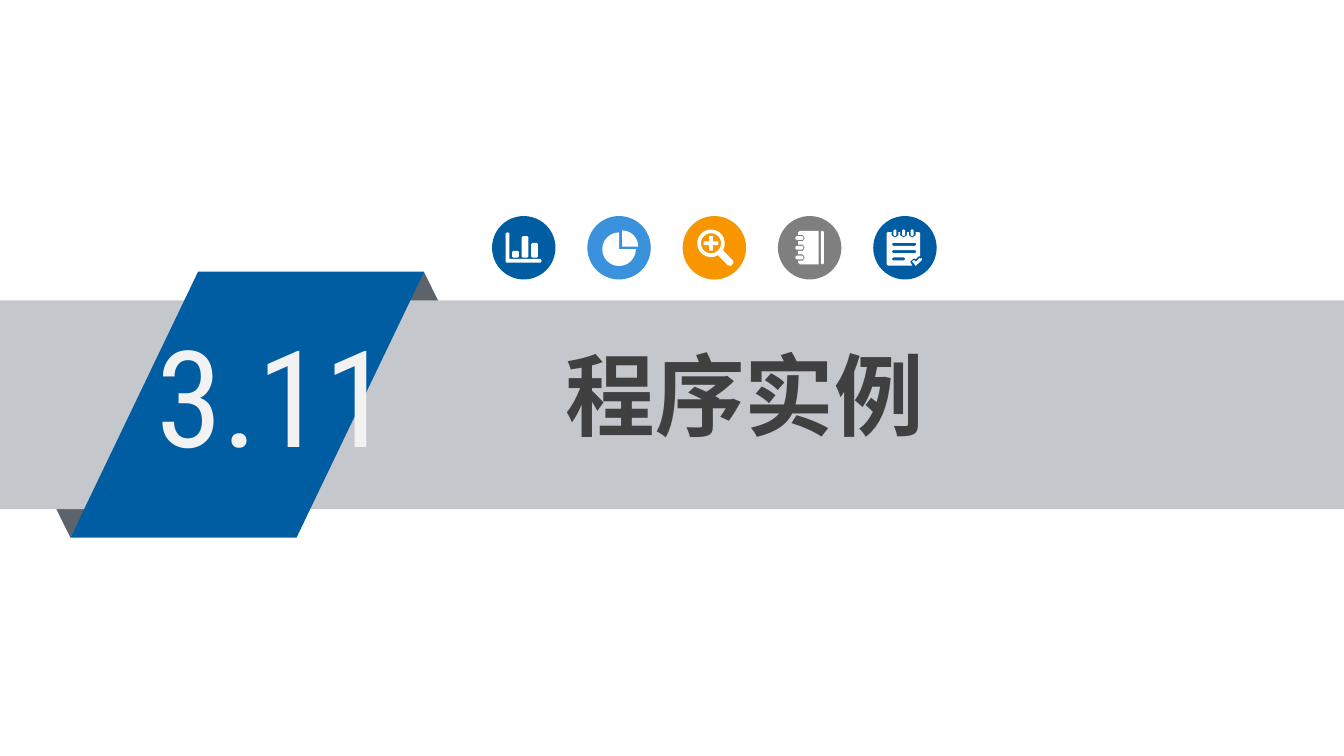
from math import cos, radians, sin

from lxml import etree
from pptx import Presentation
from pptx.dml.color import RGBColor
from pptx.enum import shapes, text
from pptx.oxml import ns
from pptx.util import Pt

WHITE = RGBColor(0xFF, 0xFF, 0xFF)
BLUE = RGBColor(0x00, 0x5D, 0xA2)
SKY = RGBColor(0x39, 0x92, 0xDB)
ORANGE = RGBColor(0xF7, 0x96, 0x00)
GREY = RGBColor(0x7F, 0x7F, 0x7F)
FOLD = RGBColor(0x5D, 0x63, 0x6A)
BAND = RGBColor(0xC4, 0xC7, 0xCB)
NUMBER = RGBColor(0xF2, 0xF2, 0xF2)
DARK = RGBColor(0x40, 0x40, 0x40)
KIND = shapes.MSO_SHAPE


def soft_box(left, top, width, height, cut=0.6):
    right, bottom = left + width, top + height
    return [(left + cut, top), (right - cut, top), (right, top + cut), (right, bottom - cut),
            (right - cut, bottom), (left + cut, bottom), (left, bottom - cut), (left, top + cut)]


def arc(x, y, radius, start, end, steps):
    angles = [radians(start + (end - start) * step / steps) for step in range(steps + 1)]
    return [(x + radius * cos(angle), y + radius * sin(angle)) for angle in angles]


deck = Presentation()
deck.slide_width, deck.slide_height = Pt(720), Pt(405)
page = deck.slides.add_slide(deck.slide_layouts[5])
title = page.shapes.title

banner = page.shapes.add_group_shape()
for kind, left, top, width, height, color in [
    (KIND.ISOSCELES_TRIANGLE, 194.5, 145.5, 65, 65.5, FOLD),
    (KIND.ISOSCELES_TRIANGLE, 5.25, 222.5, 65, 65.5, FOLD),
    (KIND.RECTANGLE, 0, 161, 720, 111.75, BAND),
    (KIND.PARALLELOGRAM, 37.75, 145.5, 189.5, 142.5, BLUE),
]:
    shape = banner.shapes.add_shape(kind, Pt(left), Pt(top), Pt(width), Pt(height))
    shape.shadow.inherit = False
    shape.fill.solid()
    shape.fill.fore_color.rgb = color
    shape.line.fill.background()
    if kind == KIND.PARALLELOGRAM:
        shape.adjustments[0] = 0.48
banner.shapes[1].element.spPr.find(ns.qn("a:xfrm")).set("flipV", "1")

number = banner.shapes.add_textbox(Pt(78.75), Pt(165), Pt(137.5), Pt(93))
title.left, title.top, title.width, title.height = Pt(297.25), Pt(179.25), Pt(296), Pt(63.5)
title.element.getparent().append(title.element)
for box, words, size, font, color, bold, side in [
    (number, "3.11", 72, "Roboto Condensed", NUMBER, False, 5),
    (title, "程序实例", 48, "Noto Sans CJK SC", DARK, True, 5.8),
]:
    frame = box.text_frame
    frame.text = words
    frame.word_wrap = True
    frame.vertical_anchor = text.MSO_ANCHOR.TOP
    frame.margin_left = frame.margin_right = Pt(side)
    frame.margin_top = frame.margin_bottom = Pt(2.9)
    para = frame.paragraphs[0]
    para.alignment = text.PP_ALIGN.LEFT
    span = para.runs[0]
    span.font.size = Pt(size)
    span.font.name = font
    span.font.bold = bold
    span.font.color.rgb = color
    etree.SubElement(span.font._element, ns.qn("a:ea"), typeface=font)

bar_chart = [
    [(7.3, 9.2), (8.3, 8.7), (9.3, 9.2), (9.3, 23), (26, 23), (26.6, 24), (26, 25), (7.8, 25), (7.3, 24.5)],
    soft_box(21, 14.4, 3.6, 7.9),
    soft_box(15.9, 10.8, 3.6, 11.5),
    soft_box(10.8, 18.7, 3.6, 3.6),
]
pie_chart = [
    [(18.6, 16.4)] + arc(18.6, 16.4, 8.7, -90, 0, 6),
    [(17, 17.8)] + arc(17, 17.8, 9, 0, 270, 18),
]
magnifier = [
    arc(15.2, 14.6, 7.4, 60, 390, 20) + [(26.9, 23.8), (27.3, 25.2), (25.8, 26.7), (24.2, 26.4)],
    arc(15.2, 14.6, 5.4, 0, 345, 23),
    [(14.2, 10.6), (16.2, 10.6), (16.2, 13.6), (19.2, 13.6), (19.2, 15.6), (16.2, 15.6),
     (16.2, 18.6), (14.2, 18.6), (14.2, 15.6), (11.2, 15.6), (11.2, 13.6), (14.2, 13.6)],
]
cover = [(21.8, 25.9), (21.8, 7.9), (11.8, 7.9), (10.8, 8.9)]
rings = []
for row in range(3):
    top = 10.1 + 5.2 * row
    cover += [(10.8, top), (13.4, top), (14.4, top + 1.7), (13.4, top + 3.4), (10.8, top + 3.4)]
    rings.append(soft_box(9.4, top + 0.7, 4.3, 2))
cover += [(10.8, 24.9), (11.8, 25.9)]
notebook = [soft_box(23, 7.9, 1.6, 18), cover] + rings

sheet = [(7.2, 9.3), (7.9, 8.6)]
coils = []
for column in range(3):
    left = 9.9 + 4.6 * column
    sheet += [(left, 8.6), (left, 10.4), (left + 1.8, 11.6), (left + 3.6, 10.4), (left + 3.6, 8.6)]
    coils.append(soft_box(left + 1, 7.2, 1.6, 3.6))
sheet += [(24.5, 8.6), (25.2, 9.3), (25.2, 21.5), (24.2, 21.8), (23, 23),
          (21.5, 22.8), (19.8, 24.5), (21, 26.6), (7.9, 26.6), (7.2, 25.9)]
lines = [soft_box(10.1, 14.4 + 3.9 * row, width, 1.6) for row, width in enumerate((13, 13, 7))]
tick = [(20.9, 24.4), (21.8, 23.6), (23, 24.4), (24.8, 22.6), (26.2, 22.8), (26, 23.8), (22.8, 26.7)]
notepad = [tick, sheet] + lines + coils

ICON_TOP = 115.75
icons = [(BLUE, bar_chart), (SKY, pie_chart), (ORANGE, magnifier), (GREY, notebook), (BLUE, notepad)]
for position, (color, outlines) in enumerate(icons):
    icon_left = 263.6 + 51.05 * position
    group = page.shapes.add_group_shape()
    disc = group.shapes.add_shape(KIND.OVAL, Pt(icon_left), Pt(ICON_TOP), Pt(34), Pt(34))
    builder = None
    for outline in outlines:
        points = [(Pt(icon_left + x), Pt(ICON_TOP + y)) for x, y in outline]
        if builder is None:
            builder = group.shapes.build_freeform(*points[0])
        else:
            builder.move_to(*points[0])
        builder.add_line_segments(points[1:])
    symbol = builder.convert_to_shape()
    for shape, fill in ((disc, color), (symbol, WHITE)):
        shape.shadow.inherit = False
        shape.fill.solid()
        shape.fill.fore_color.rgb = fill
        shape.line.fill.background()

deck.save("out.pptx")
